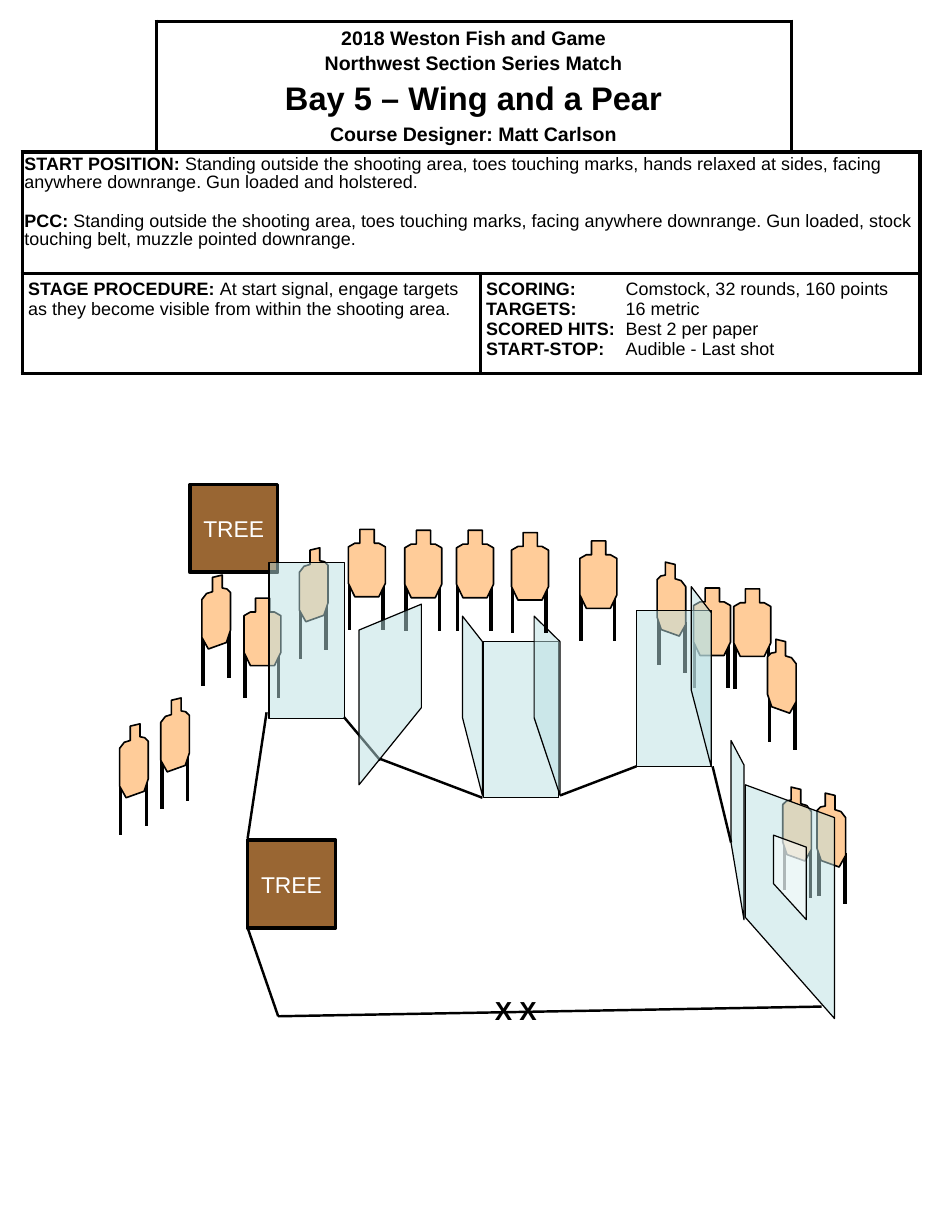
"""Build the Bay 5 stage briefing: a header table above a drawing of the shooting bay."""
from dataclasses import dataclass

from lxml.etree import SubElement
from pptx import Presentation
from pptx.dml.color import RGBColor
from pptx.enum.shapes import MSO_CONNECTOR, MSO_SHAPE
from pptx.enum.text import MSO_ANCHOR, PP_ALIGN
from pptx.oxml import parse_xml
from pptx.oxml.ns import nsdecls, qn
from pptx.util import Cm, Pt


@dataclass(frozen=True)
class Theme:
    font: str = "Arial"
    ink: str = "000000"
    paper: str = "FFFFFF"
    bark: str = "996633"
    card: str = "FFCC99"
    wall: str = "BBE0E3"
    body: int = 11
    heading: int = 12
    tree: int = 14
    mark: int = 16
    title: int = 20
    thin: float = 0.75
    outline: float = 1
    fault: float = 1.5
    heavy: float = 2.25


T = Theme()


def add_run(p, text, size, bold=False, color=T.ink):
    r = p.add_run()
    r.text = text
    r.font.name, r.font.size, r.font.bold = T.font, Pt(size), bold
    r.font.color.rgb = RGBColor.from_string(color)


def style(sp, width, fill=None, alpha=None):
    sp.line.color.rgb = RGBColor.from_string(T.ink)
    sp.line.width = Pt(width)
    if fill is None:
        SubElement(sp._element.spPr, qn("a:effectLst"))
        return
    sp.shadow.inherit = False
    sp.fill.solid()
    sp.fill.fore_color.rgb = RGBColor.from_string(fill)
    if alpha:
        color = sp._element.spPr.find(qn("a:solidFill"))[0]
        SubElement(color, qn("a:alpha")).set("val", str(alpha * 1000))


prs = Presentation()
prs.slide_width, prs.slide_height = Cm(20.32), Cm(26.67)
s = prs.slides.add_slide(prs.slide_layouts[6])

col_widths = [2.9, 7.01, 6.73, 2.79]
row_heights = [2.83, 2.63, 2.16]
frame = s.shapes.add_table(3, 4, Cm(0.48), Cm(0.46), Cm(sum(col_widths)), Cm(sum(row_heights)))
table = frame.table
table.first_row = table.horz_banding = False
for column, width in zip(table.columns, col_widths):
    column.width = Cm(width)
for row, height in zip(table.rows, row_heights):
    row.height = Cm(height)

open_edges = {(0, 0): "LT", (0, 3): "RT"}
for i, row in enumerate(table.rows):
    for j, cell in enumerate(row.cells):
        cell.fill.solid()
        cell.fill.fore_color.rgb = RGBColor.from_string(T.paper)
        cell.margin_left = cell.margin_right = Cm(0.05 if i == 1 else 0.13)
        cell.margin_top = cell.margin_bottom = Cm(0.13 if i == 2 else 0.1)
        for n, edge in enumerate("LRTB"):
            if edge in open_edges.get((i, j), ""):
                paint = "<a:noFill/>"
            else:
                paint = f'<a:solidFill><a:srgbClr val="{T.ink}"/></a:solidFill>'
            border = f'<a:ln{edge} {nsdecls("a")} w="{Pt(T.heavy)}">{paint}</a:ln{edge}>'
            cell._tc.tcPr.insert(n, parse_xml(border))

for first, last in [((0, 1), (0, 2)), ((1, 0), (1, 3)), ((2, 0), (2, 1)), ((2, 2), (2, 3))]:
    table.cell(*first).merge(table.cell(*last))

table.cell(0, 1).vertical_anchor = MSO_ANCHOR.MIDDLE
cell_texts = [
    ((0, 1), [
        (0, T.heading, "2018 Weston Fish and Game", ""),
        (2.2, T.heading, "Northwest Section Series Match", ""),
        (3.5, T.title, "Bay 5 – Wing and a Pear", ""),
        (4.2, T.heading, "Course Designer: Matt Carlson", ""),
    ]),
    ((1, 0), [
        (0, T.body, "START POSITION:", " Standing outside the shooting area, toes touching marks, "
         "hands relaxed at sides, facing anywhere downrange. Gun loaded and holstered."),
        (12.5, T.body, "PCC: ", "Standing outside the shooting area, toes touching marks, facing "
         "anywhere downrange. Gun loaded, stock touching belt, muzzle pointed downrange."),
    ]),
    ((2, 0), [
        (0, T.body, "STAGE PROCEDURE: ", "At start signal, engage targets as they become visible "
         "from within the shooting area."),
    ]),
    ((2, 2), [
        (0, T.body, "SCORING:", "\tComstock, 32 rounds, 160 points"),
        (0, T.body, "TARGETS:", "\t16 metric"),
        (0, T.body, "SCORED HITS:", "\tBest 2 per paper"),
        (0, T.body, "START-STOP:", "\tAudible - Last shot"),
    ]),
]
for position, paragraphs in cell_texts:
    tf = table.cell(*position).text_frame
    for n, (before, size, label, detail) in enumerate(paragraphs):
        p = tf.add_paragraph() if n else tf.paragraphs[0]
        p.space_before = Pt(before)
        if position[0] == 0:
            p.alignment = PP_ALIGN.CENTER
        if position[0] == 1:
            p.line_spacing = 0.9
        if detail.startswith("\t"):
            tabs = SubElement(p._p.get_or_add_pPr(), qn("a:tabLst"))
            SubElement(tabs, qn("a:tab"), pos=str(Cm(3.02)), algn="l")
        add_run(p, label, size, bold=True)
        if detail:
            add_run(p, detail, size)

facing = [(0.25, 0), (0.56, 0), (0.56, 0.3), (0.66, 0.3), (0.8, 0.38), (0.8, 1.17),
          (0.66, 1.46), (0.14, 1.46), (0, 1.17), (0, 0.38), (0.14, 0.3), (0.25, 0.3)]
left = [(0.23, 0.05), (0.44, 0), (0.44, 0.28), (0.54, 0.3), (0.62, 0.38), (0.62, 1.19),
        (0.53, 1.46), (0.14, 1.6), (0, 1.35), (0, 0.53), (0.1, 0.4), (0.23, 0.36)]
left_legs = [(0.02, 1.3), (0.58, 1.12)]
targets = {
    "facing": (facing, [(0.02, 1.07), (0.75, 1.07)]),
    "left": (left, left_legs),
    "right": ([(0.62 - x, y) for x, y in left], [(0.62 - x, y) for x, y in left_legs]),
}
leg_length = 1.1
wall_size = (Cm(1.63), Cm(3.38))
tree_size = (Cm(1.9), Cm(1.9))

scene = [
    ("right", 14.22, 12.17), ("right", 16.94, 17.04), ("right", 17.68, 17.17),
    ("facing", 8.76, 11.48), ("facing", 7.54, 11.46), ("left", 6.48, 11.86),
    ("fault", 7.44, 15.52, 8.23, 16.46),
    ("tree", 5.36, 18.19), ("tree", 4.11, 10.49),
    ("left", 3.48, 15.11),
    ("mark", 10.46, 21.41),
    ("fault", 5.36, 20.09, 6.02, 22), ("fault", 6.02, 22, 17.78, 21.79),
    ("left", 2.59, 15.67), ("left", 4.37, 12.45),
    ("fault", 5.77, 15.42, 5.36, 18.14),
    ("facing", 5.28, 12.95),
    ("wall", 5.82, 12.17),
    ("panel", 7.77, 13.64, 16.99, 9.12, 13.08, 15.32),
    ("fault", 8.23, 16.43, 10.44, 17.27),
    ("panel", 10.01, 13.34, 15.54, 10.44, 13.89, 17.22),
    ("facing", 9.88, 11.48),
    ("wall", 10.46, 13.89),
    ("panel", 16.13, 16.99, 19.86, 18.06, 17.7, 22.05),
    ("window", 16.74, 18.08, 19.13, 17.45, 18.34, 19.91),
    ("panel", 15.82, 16.03, 18.24, 16.1, 16.56, 19.91),
    ("panel", 11.56, 13.34, 15.54, 12.12, 13.89, 17.22),
    ("facing", 11.07, 11.53), ("facing", 15.01, 12.73),
    ("facing", 15.88, 12.75), ("facing", 12.55, 11.71),
    ("wall", 13.77, 13.21),
    ("panel", 14.96, 12.7, 14.94, 15.39, 13.26, 16.59),
    ("right", 16.61, 13.84),
    ("fault", 12.12, 17.22, 13.77, 16.59), ("fault", 15.82, 18.24, 15.42, 16.59),
]
for kind, x, y, *rest in scene:
    if kind in targets:
        outline, legs = targets[kind]
        group = s.shapes.add_group_shape()
        for dx, dy in legs:
            ends = [Cm(v) for v in (x + dx, y + dy, x + dx, y + dy + leg_length)]
            style(group.shapes.add_connector(MSO_CONNECTOR.STRAIGHT, *ends), T.heavy)
        points = [(Cm(x + dx), Cm(y + dy)) for dx, dy in outline]
        builder = group.shapes.build_freeform(*points[0])
        builder.add_line_segments(points[1:], close=True)
        style(builder.convert_to_shape(), T.outline, T.card)
    elif kind == "fault":
        ends = [Cm(v) for v in (x, y, *rest)]
        style(s.shapes.add_connector(MSO_CONNECTOR.STRAIGHT, *ends), T.fault)
    elif kind in ("panel", "window"):
        bottom, far_x, far_top, far_bottom = rest
        builder = s.shapes.build_freeform(Cm(x), Cm(bottom))
        corners = [(far_x, far_bottom), (far_x, far_top), (x, y)]
        builder.add_line_segments([(Cm(a), Cm(b)) for a, b in corners], close=True)
        style(builder.convert_to_shape(), T.thin, T.wall if kind == "panel" else T.paper, 50)
    elif kind == "wall":
        sp = s.shapes.add_shape(MSO_SHAPE.RECTANGLE, Cm(x), Cm(y), *wall_size)
        style(sp, T.thin, T.wall, 50)
    elif kind == "tree":
        sp = s.shapes.add_shape(MSO_SHAPE.RECTANGLE, Cm(x), Cm(y), *tree_size)
        style(sp, T.heavy, T.bark)
        tf = sp.text_frame
        tf.word_wrap = False
        tf.vertical_anchor = MSO_ANCHOR.MIDDLE
        tf.paragraphs[0].alignment = PP_ALIGN.CENTER
        add_run(tf.paragraphs[0], "TREE", T.tree, color=T.paper)
    else:
        tf = s.shapes.add_textbox(Cm(x), Cm(y), Cm(1.47), Cm(0.94)).text_frame
        tf.word_wrap = False
        add_run(tf.paragraphs[0], "X X", T.mark, bold=True)

prs.save("out.pptx")
